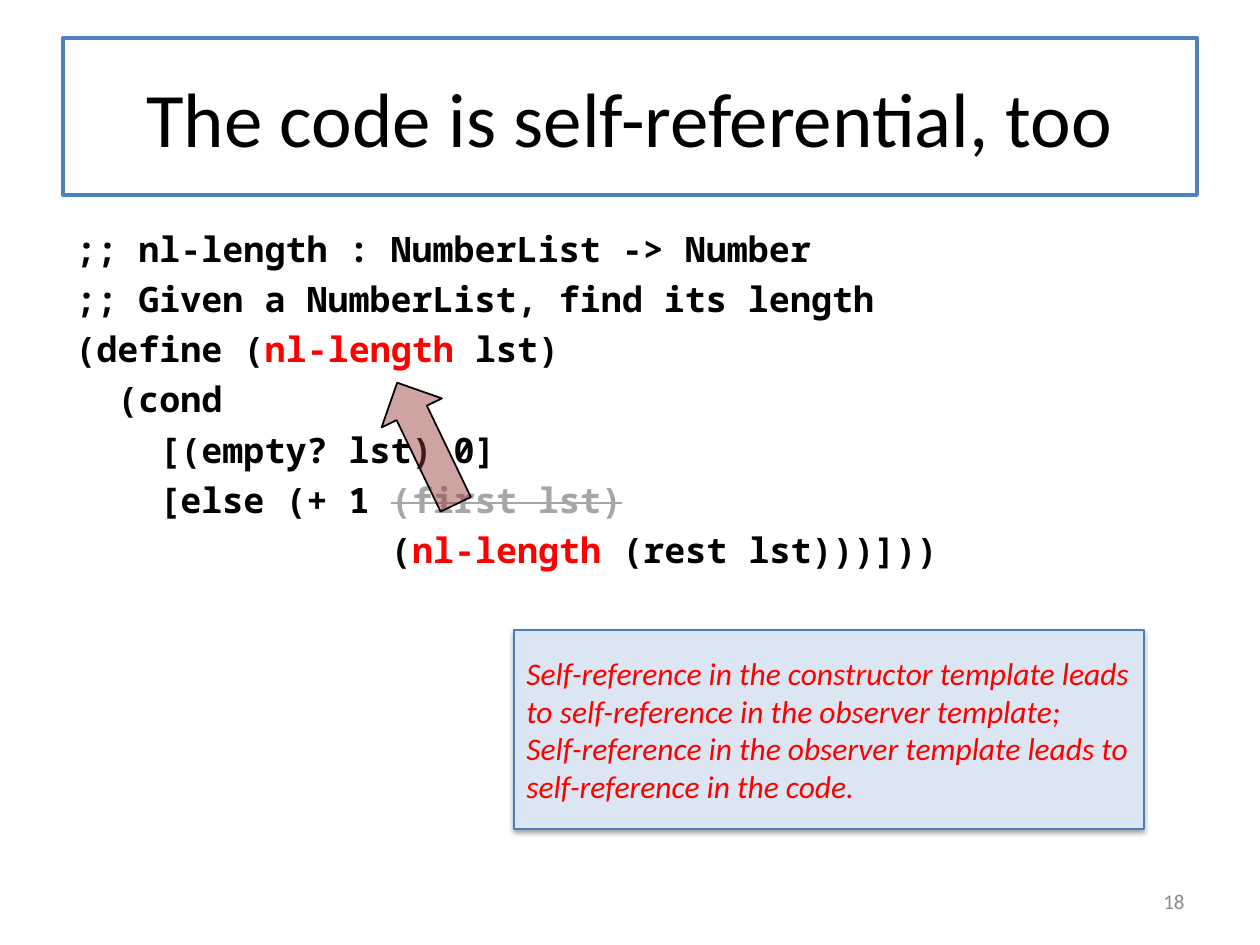
from lxml import etree
from pptx import Presentation
from pptx import util as u
from pptx.dml.color import RGBColor
from pptx.enum import shapes, text
from pptx.oxml.ns import qn

PX = 914400 / 126
BLACK = RGBColor(0x00, 0x00, 0x00)
WHITE = RGBColor(0xFF, 0xFF, 0xFF)
RED = RGBColor(0xFF, 0x00, 0x00)
GREY = RGBColor(0xA6, 0xA6, 0xA6)
NUMBER_GREY = RGBColor(0x8C, 0x8C, 0x8C)
TITLE_BLUE = RGBColor(0x4F, 0x81, 0xBD)
NOTE_BLUE = RGBColor(0x4B, 0x7E, 0xBC)
NOTE_FILL = RGBColor(0xDC, 0xE6, 0xF2)
ARROW_RED = RGBColor(0x95, 0x37, 0x35)

SANS = "Calibri"
MONO = "Noto Sans Mono"
LEFT, CENTER, RIGHT = text.PP_ALIGN.LEFT, text.PP_ALIGN.CENTER, text.PP_ALIGN.RIGHT
TOP, MIDDLE = text.MSO_ANCHOR.TOP, text.MSO_ANCHOR.MIDDLE

# Each line is a list of (text, colour) runs; grey runs are struck out.
CODE = [
    [(";; nl-length : NumberList -> Number", BLACK)],
    [(";; Given a NumberList, find its length", BLACK)],
    [("(define (", BLACK), ("nl-length ", RED), ("lst)", BLACK)],
    [("  (cond", BLACK)],
    [("    [(empty? lst) 0]", BLACK)],
    [("    [else (+ 1 ", BLACK), ("(first lst)", GREY)],
    [("               (", BLACK), ("nl-length", RED), (" (rest lst)))]))", BLACK)],
]
NOTE = [
    "Self-reference in the constructor template leads to self-reference in the observer template;",
    "Self-reference in the observer template leads to self-reference in the code.",
]


def px(*lengths):
    return [u.Emu(round(n * PX)) for n in lengths]


def add_shape(slide, kind, box, fill, line, width):
    sp = slide.shapes.add_shape(kind, *px(*box))
    sp.shadow.inherit = False
    sp.fill.solid()
    sp.fill.fore_color.rgb = fill
    sp.line.color.rgb = line
    sp.line.width = u.Pt(width)
    return sp


def write(sp, lines, size, font, align=LEFT, anchor=MIDDLE, gap=0, bold=False, italic=False):
    """Fill a shape with lines, each a list of (text, colour) runs."""
    tf = sp.text_frame
    tf.word_wrap = True
    tf.vertical_anchor = anchor
    for i, line in enumerate(lines):
        p = tf.paragraphs[0] if i == 0 else tf.add_paragraph()
        p.alignment = align
        if i and gap:
            p.space_before = u.Pt(gap)
        for words, color in line:
            r = p.add_run()
            r.text = words
            r.font.size = u.Pt(size)
            r.font.name = font
            r.font.bold = bold
            r.font.italic = italic
            r.font.color.rgb = color
            if color == GREY:
                r.font._element.set("strike", "sngStrike")


def add_alpha(color, percent):
    etree.SubElement(color, qn("a:alpha"), val=str(percent * 1000))


def add_drop_shadow(sp, blur, distance, percent):
    effects = sp._element.spPr.find(qn("a:effectLst"))
    shadow = etree.SubElement(
        effects, qn("a:outerShdw"), blurRad=str(u.Pt(blur)), dist=str(u.Pt(distance)),
        dir="5400000", rotWithShape="0")
    add_alpha(etree.SubElement(shadow, qn("a:srgbClr"), val=str(BLACK)), percent)


def add_arrow(slide):
    arrow = add_shape(slide, shapes.MSO_SHAPE.RIGHT_ARROW, (359, 410, 135, 67),
                      ARROW_RED, BLACK, 1)
    arrow.rotation = 244.3
    add_alpha(arrow._element.spPr.find(qn("a:solidFill"))[0], 46)


def main():
    prs = Presentation()
    prs.slide_width, prs.slide_height = px(1260, 945)
    slide = prs.slides.add_slide(prs.slide_layouts[6])
    rectangle = shapes.MSO_SHAPE.RECTANGLE

    title = add_shape(slide, rectangle, (63, 38, 1134, 157), WHITE, TITLE_BLUE, 2.25)
    write(title, [[("The code is self-referential, too", BLACK)]], 44, SANS, align=CENTER)

    code = slide.shapes.add_textbox(*px(63, 221, 1134, 624))
    write(code, CODE, 20, MONO, anchor=TOP, gap=4.7, bold=True)

    number = slide.shapes.add_textbox(*px(903, 876, 294, 50))
    write(number, [[("18", NUMBER_GREY)]], 12, SANS, align=RIGHT)

    add_arrow(slide)

    note = add_shape(slide, rectangle, (514, 630, 630, 199), NOTE_FILL, NOTE_BLUE, 0.75)
    add_drop_shadow(note, 3.1, 1.6, 38)
    write(note, [[(line, RED)] for line in NOTE], 18, SANS, italic=True)

    prs.save("out.pptx")


if __name__ == "__main__":
    main()
